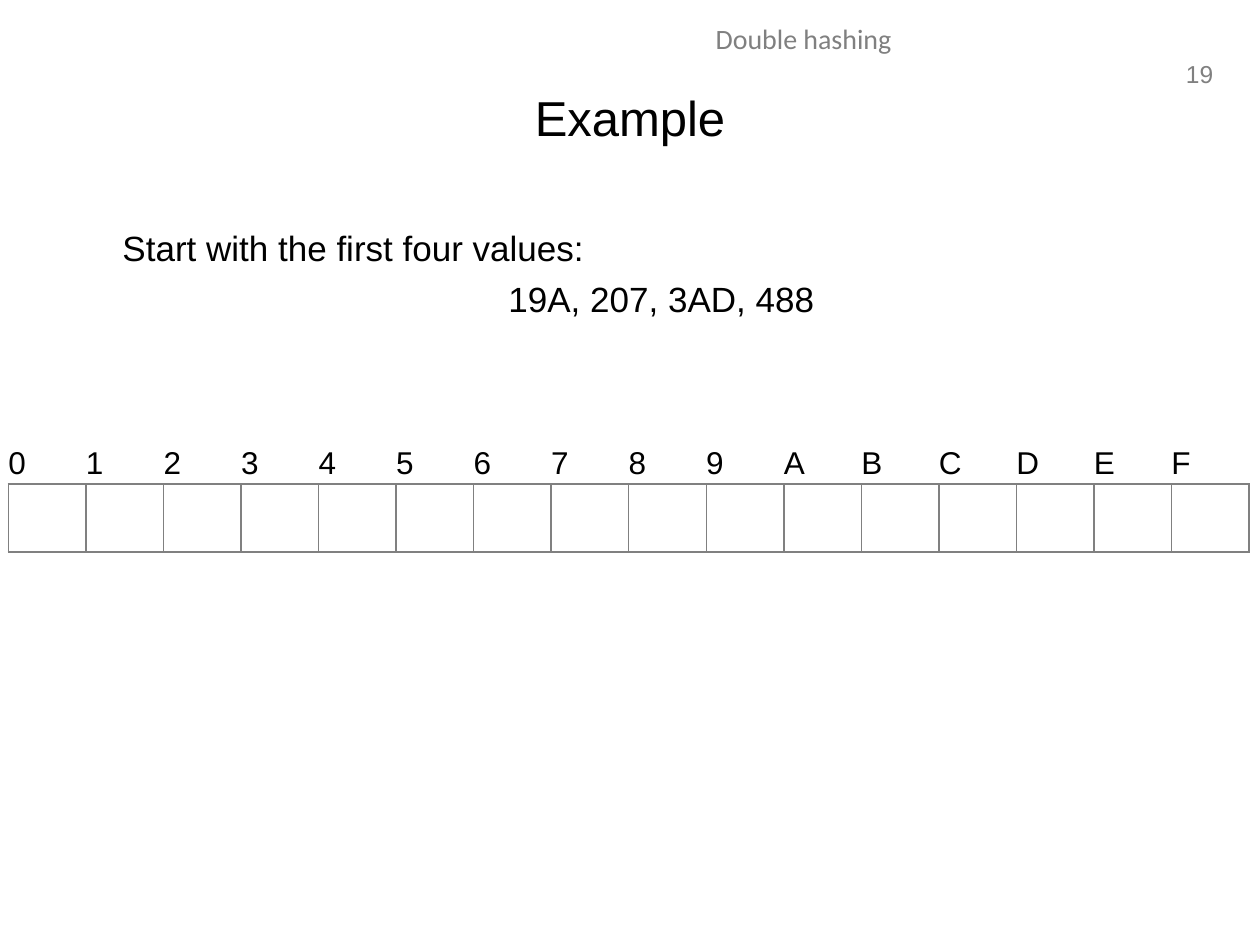
from lxml import etree
from pptx import Presentation
from pptx.dml.color import RGBColor
from pptx.enum.text import MSO_ANCHOR, PP_ALIGN
from pptx.oxml.ns import qn
from pptx.util import Cm, Pt

LEFT, CENTER, RIGHT = PP_ALIGN.LEFT, PP_ALIGN.CENTER, PP_ALIGN.RIGHT
MIDDLE = MSO_ANCHOR.MIDDLE
BLACK = RGBColor(0x00, 0x00, 0x00)
GRAY = RGBColor(0x80, 0x80, 0x80)
SLOTS = "0123456789ABCDEF"
TITLE_ONLY = 5


def write(paragraph, text, size, font="Arial", color=BLACK, align=LEFT,
          indent=0, before=0):
    paragraph.text = text
    paragraph.alignment = align
    paragraph.space_before = Pt(before)
    if indent:
        properties = paragraph._p.get_or_add_pPr()
        properties.set("marL", str(Cm(indent)))
        properties.set("indent", "0")
    paragraph.font.size = Pt(size)
    paragraph.font.name = font
    paragraph.font.color.rgb = color


def add_text_frame(slide, left, top, width, height, wrap=True):
    box = slide.shapes.add_textbox(Cm(left), Cm(top), Cm(width), Cm(height))
    box.text_frame.word_wrap = wrap
    return box.text_frame


def place_header(slide, left, top, width):
    """Topic line, with the slide number below its right end."""
    topic = add_text_frame(slide, left, top, width, 1.02)
    write(topic.paragraphs[0], "Double hashing", 16, "Calibri", GRAY, CENTER)
    number = add_text_frame(slide, left + width - 0.71, top + 0.77, 1.12, 0.84,
                            wrap=False)
    write(number.paragraphs[0], "19", 14, color=GRAY, align=RIGHT)


def place_title(slide, left, top, width, height):
    title = slide.shapes.title
    title.left, title.top = Cm(left), Cm(top)
    title.width, title.height = Cm(width), Cm(height)
    title.text_frame.vertical_anchor = MIDDLE
    write(title.text_frame.paragraphs[0], "Example", 28, align=CENTER)


def place_body(slide, left, top, width, height):
    body = add_text_frame(slide, left, top, width, height)
    write(body.paragraphs[0], "Start with the first four values:", 20,
          indent=0.95)
    write(body.add_paragraph(), "19A, 207, 3AD, 488", 20, align=CENTER,
          indent=1.27, before=5)


def set_borders(cell, sides):
    """Draw the named sides in gray and clear the others."""
    properties = cell._tc.get_or_add_tcPr()
    for side in "LRTB":
        line = etree.SubElement(properties, qn(f"a:ln{side}"), w=str(Pt(1)))
        if side in sides:
            fill = etree.SubElement(line, qn("a:solidFill"))
            etree.SubElement(fill, qn("a:srgbClr"), val=str(GRAY))
        else:
            etree.SubElement(line, qn("a:noFill"))


def place_hash_table(slide, left, top, width, label_height, slot_height):
    table = slide.shapes.add_table(
        2, len(SLOTS), Cm(left), Cm(top), Cm(width),
        Cm(label_height + slot_height)).table
    table.first_row = table.horz_banding = False
    table.rows[0].height = Cm(label_height)
    table.rows[1].height = Cm(slot_height)
    for column, slot in enumerate(SLOTS):
        table.columns[column].width = Cm(width / len(SLOTS))
        label, value = table.cell(0, column), table.cell(1, column)
        label.margin_left = label.margin_right = 0
        label.margin_top = label.margin_bottom = 0
        label.vertical_anchor = MIDDLE
        write(label.text_frame.paragraphs[0], slot, 18)
        for cell, sides in ((label, "B"), (value, "LRTB")):
            set_borders(cell, sides)
            cell.fill.background()


def main():
    presentation = Presentation()
    presentation.slide_width, presentation.slide_height = Cm(25.4), Cm(19.05)
    slide = presentation.slides.add_slide(
        presentation.slide_layouts[TITLE_ONLY])
    place_header(slide, 8.1, 0.3, 16.2)
    place_title(slide, 1.27, 0.76, 22.86, 3.18)
    place_body(slide, 1.27, 4.45, 22.86, 12.57)
    place_hash_table(slide, 0.17, 8.92, 25.01, 0.84, 1.37)
    presentation.save("out.pptx")


if __name__ == "__main__":
    main()
